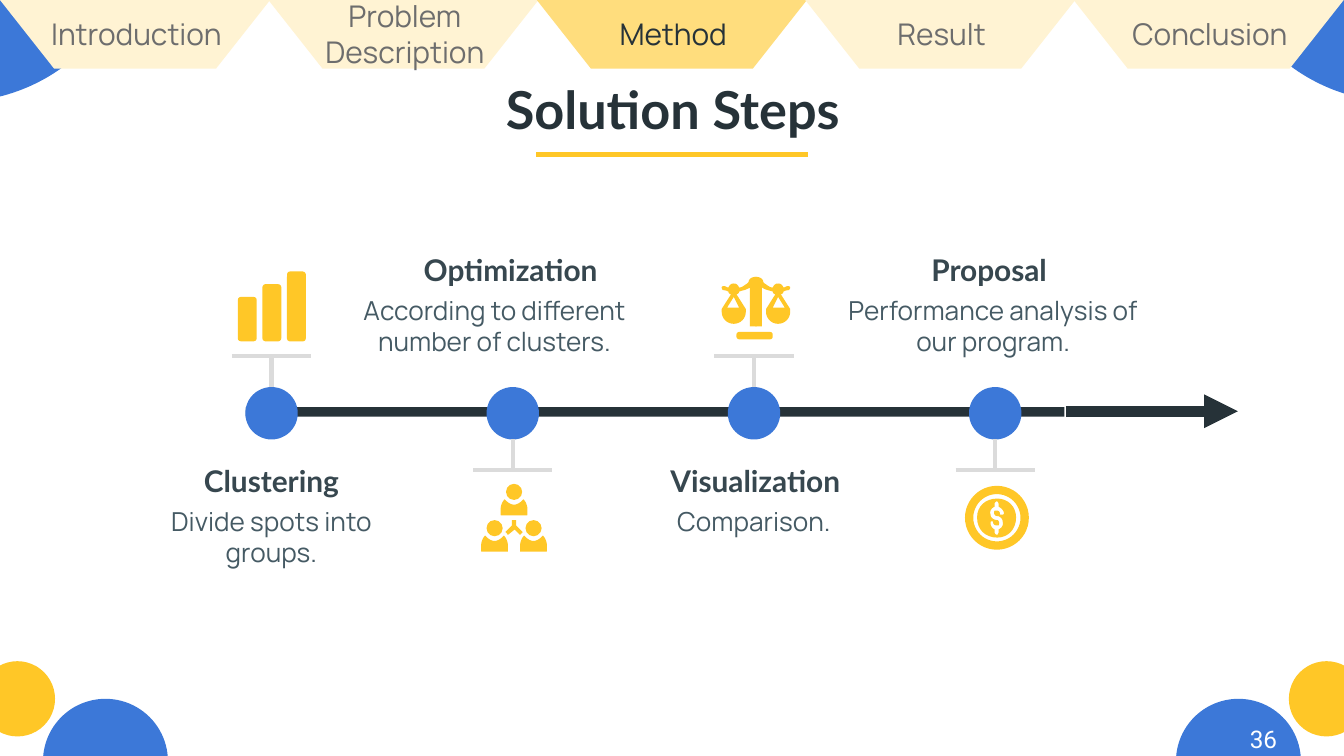
"""Build the "Solution Steps" timeline slide on a grid of 100 columns by 56.25 rows."""
import dataclasses

import pptx
import pptx.dml.color
import pptx.enum.shapes
import pptx.enum.text
import pptx.oxml
import pptx.oxml.ns
import pptx.util

SHAPE = pptx.enum.shapes.MSO_SHAPE
ALIGN = pptx.enum.text.PP_ALIGN
ANCHOR = pptx.enum.text.MSO_ANCHOR
COLUMNS, ROWS = 100, 56.25

PERSON = ("M 3 0 C 1 2 0 5 0 8 L 0 11 C 0 12 0 12 1 12 L 19 12 C 20 12 20 12 20 11 "
          "L 20 8 C 20 5 19 2 17 0 C 15 2 13 4 10 4 C 7 4 5 2 3 0")
BRANCHES = ("M 5 0 L 5 4 L 0 9 C 1 9 1 10 2 11 L 7 7 L 11 11 C 12 10 13 9 13 9 "
            "L 8 4 L 8 0")
HALF_BALANCE = ("M 26 0 C 22 0 20 2 20 4 L 19 5 C 16 7 15 8 13 8 C 12 6 11 5 9 5 "
                "C 7 5 6 6 5 8 C 4 8 3 7 2 7 C 1 7 0 7 0 8 C 0 8 0 9 1 10 "
                "C 2 10 3 10 5 11 C 5 12 6 13 7 13 L 0 24 L 0 26 C 0 31 4 35 9 35 "
                "C 14 35 18 31 18 26 L 18 24 L 11 13 C 12 13 13 12 13 11 "
                "C 16 10 18 10 21 8 L 21 37 L 26 37 M 9 15 L 13 23 L 4 23")
DOLLAR_DISC = ("M 15 0 C 6 0 0 6 0 14 C 0 23 6 29 15 29 C 23 29 29 23 29 14 "
               "C 29 6 23 0 15 0 M 15 2 C 15 2 16 3 16 4 L 16 6 C 18 7 20 9 20 11 "
               "C 20 12 19 12 18 12 C 17 12 17 12 17 11 C 17 10 16 9 15 9 "
               "C 14 9 13 9 13 9 C 12 11 13 13 15 13 C 17 13 19 15 19 17 "
               "C 20 20 18 22 16 23 L 16 25 C 16 26 15 27 15 27 C 14 27 13 26 13 25 "
               "L 13 23 C 11 22 10 20 10 18 C 10 17 10 17 11 17 C 12 17 12 17 12 18 "
               "C 12 19 13 20 15 20 C 15 20 16 20 16 20 C 17 18 16 16 15 16 "
               "C 12 16 10 14 10 12 C 9 9 11 7 13 6 L 13 4 C 13 3 14 2 15 2")


@dataclasses.dataclass(frozen=True)
class Theme:
    blue: str = "3C78D8"
    yellow: str = "FFC727"
    tab: str = "FFF3D3"
    active_tab: str = "FFDD7D"
    ink: str = "263238"
    heading: str = "37474F"
    body: str = "455A64"
    muted: str = "6D6D6D"
    stem: str = "DBDBDB"
    white: str = "FFFFFF"
    title_size: int = 28
    heading_size: int = 16
    body_size: int = 14
    number_size: int = 13


def rgb(value):
    return pptx.dml.color.RGBColor.from_string(value)


def write(frame, text, *, font, size, color, bold=False, align=ALIGN.CENTER,
          anchor=ANCHOR.MIDDLE, inset=1):
    frame.word_wrap = True
    frame.auto_size = pptx.enum.text.MSO_AUTO_SIZE.NONE
    frame.vertical_anchor = anchor
    frame.margin_left = frame.margin_right = pptx.util.Inches(0.1)
    frame.margin_top = frame.margin_bottom = pptx.util.Inches(0.1 * inset)
    frame.text = text
    for paragraph in frame.paragraphs:
        paragraph.alignment = align
        for run in paragraph.runs:
            run.font.name, run.font.bold = font, bold
            run.font.size = pptx.util.Pt(size)
            run.font.color.rgb = rgb(color)


def contours(outline):
    """Return the point lists of an outline, with its curves cut into short segments."""
    loops = []
    tokens = iter(outline.split())
    for command in tokens:
        pairs = [(float(next(tokens)), float(next(tokens)))
                 for _ in range(3 if command == "C" else 1)]
        if command == "M":
            loops.append(pairs)
        elif command == "L":
            loops[-1] += pairs
        else:
            controls = [loops[-1][-1], *pairs]
            for step in range(1, 9):
                t = step / 8
                weights = ((1 - t) ** 3, 3 * t * (1 - t) ** 2, 3 * t * t * (1 - t), t ** 3)
                loops[-1].append(tuple(sum(w * c[axis] for w, c in zip(weights, controls))
                                       for axis in (0, 1)))
    return loops


class Deck:
    def __init__(self, theme):
        self.theme = theme
        self.presentation = pptx.Presentation()
        self.presentation.slide_width = pptx.util.Inches(10)
        self.presentation.slide_height = pptx.util.Inches(5.625)
        self.slide = self.presentation.slides.add_slide(self.presentation.slide_layouts[5])

    def grid(self, *lengths):
        sizes = (self.presentation.slide_width / COLUMNS,
                 self.presentation.slide_height / ROWS)
        return [round(length * sizes[i % 2]) for i, length in enumerate(lengths)]

    def paint(self, shape, color):
        shape.shadow.inherit = False
        shape.fill.solid()
        shape.fill.fore_color.rgb = rgb(color)
        shape.line.fill.background()

    def title(self, text, box, **style):
        holder = self.slide.shapes.title
        holder.left, holder.top, holder.width, holder.height = self.grid(*box)
        write(holder.text_frame, text, **style)

    def text(self, text, box, **style):
        write(self.slide.shapes.add_textbox(*self.grid(*box)).text_frame, text, **style)

    def shape(self, kind, box, color, rounding=None):
        shape = self.slide.shapes.add_shape(kind, *self.grid(*box))
        if rounding is not None:
            shape.adjustments[0] = rounding
        self.paint(shape, color)

    def line(self, start, end, color, width=2.25, arrow=False):
        line = self.slide.shapes.add_connector(
            pptx.enum.shapes.MSO_CONNECTOR.STRAIGHT, *self.grid(*start, *end))
        line.line.color.rgb = rgb(color)
        line.line.width = pptx.util.Pt(width)
        if arrow:
            head = pptx.oxml.parse_xml(
                f'<a:tailEnd {pptx.oxml.ns.nsdecls("a")} type="triangle"/>')
            line.line._get_or_add_ln().append(head)
        line._element.spPr.append(
            pptx.oxml.parse_xml(f'<a:effectLst {pptx.oxml.ns.nsdecls("a")}/>'))

    def outline(self, outline, left, top, color, mirror=None):
        """Draw an outline given in tenths of a column, flipped within the mirror width."""
        loops = [[self.grid(left + (x if mirror is None else mirror - x) / 10, top + y / 10)
                  for x, y in loop] for loop in contours(outline)]
        builder = self.slide.shapes.build_freeform(*loops[0][0], scale=1.0)
        for loop in loops:
            if loop is not loops[0]:
                builder.move_to(*loop[0])
            builder.add_line_segments(loop[1:], close=True)
        self.paint(builder.convert_to_shape(), color)


def add_corners(deck):
    theme = deck.theme
    for left, top, size, color in (
            (90.5, -19.7, 27.3, theme.blue), (-17, -19.7, 27.3, theme.blue),
            (95.9, 49.2, 5.6, theme.yellow), (-1.5, 49.2, 5.6, theme.yellow),
            (87.5, 52, 9.3, theme.blue), (3.2, 52, 9.3, theme.blue)):
        deck.shape(SHAPE.OVAL, (left, top, size, size), color)


def add_tabs(deck, names, active):
    theme = deck.theme
    width, pitch = 20.1, 19.97
    for index, name in enumerate(names):
        left, current = index * pitch, name == active
        deck.shape(SHAPE.FLOWCHART_MANUAL_OPERATION, (left, 0, width, 5.1),
                   theme.active_tab if current else theme.tab)
        deck.text(name, (left + 1.4, -0.7, 17.5, 6.4), font="Manrope", inset=0.5,
                  size=theme.heading_size, color=theme.ink if current else theme.muted)


def add_timeline(deck, steps):
    theme = deck.theme
    deck.shape(SHAPE.RECTANGLE, (18.3, 30.3, 60.9, 0.7), theme.ink)
    deck.line((79.3, 30.6), (92.1, 30.6), theme.ink, width=6, arrow=True)
    for index, (heading, heading_center, body, body_center, body_width) in enumerate(steps):
        center = 20.2 + 17.95 * index
        icon_above = index % 2 == 0
        dot_edge, bar = (28.8, 26.5) if icon_above else (32.7, 35)
        text_top = 33.5 if icon_above else 17.8
        deck.shape(SHAPE.OVAL, (center - 1.95, 28.8, 3.9, 3.9), theme.blue)
        deck.line((center - 2.95, bar), (center + 2.95, bar), theme.stem)
        deck.line((center, dot_edge), (center, bar), theme.stem)
        deck.text(heading, (heading_center - 10.9, text_top, 21.8, 4.5), font="Lato",
                  size=theme.heading_size, color=theme.heading, bold=True)
        deck.text(body, (body_center - body_width / 2, text_top + 3.1, body_width, 7),
                  font="Manrope", size=theme.body_size, color=theme.body, anchor=ANCHOR.TOP)


def add_icons(deck):
    color = deck.theme.yellow
    for index, height in enumerate((3.3, 4.25, 5.2)):
        deck.shape(SHAPE.ROUNDED_RECTANGLE, (17.7 + 1.83 * index, 25.4 - height, 1.4, height),
                   color, rounding=0.16)
    for left, top in ((35.8, 38.7), (37.25, 36), (38.7, 38.7)):
        deck.shape(SHAPE.OVAL, (left + 0.4, top, 1.2, 1.2), color)
        deck.outline(PERSON, left, top + 1.15, color)
    deck.outline(BRANCHES, 37.6, 38.7, color)
    for mirror in (None, 51):
        deck.outline(HALF_BALANCE, 53.7, 20.6, color, mirror)
    deck.shape(SHAPE.ROUNDED_RECTANGLE, (54.8, 24.7, 2.7, 0.55), color, rounding=0.35)
    deck.shape(SHAPE.DONUT, (71.8, 36.15, 4.75, 4.75), color, rounding=0.13)
    deck.outline(DOLLAR_DISC, 72.7, 37.1, color)


def main():
    theme = Theme()
    deck = Deck(theme)
    add_corners(deck)
    deck.title("Solution Steps", (7.9, 4.9, 84.3, 6.3), font="Lato",
               size=theme.title_size, color=theme.ink, bold=True)
    deck.line((39.9, 11.5), (60.1, 11.5), theme.yellow)
    add_timeline(deck, (
        ("Clustering", 20.2, "Divide spots into groups.", 20.2, 18.2),
        ("Optimization", 38, "According to different number of clusters.", 36.8, 25),
        ("Visualization", 56.2, "Comparison.", 56.1, 18.2),
        ("Proposal", 73.6, "Performance analysis of our program.", 73.9, 24)))
    add_icons(deck)
    add_tabs(deck, ("Introduction", "Problem\nDescription", "Method", "Result", "Conclusion"),
             active="Method")
    deck.text("36", (90, 52.8, 6, 4.3), font="Roboto", size=theme.number_size,
              color=theme.white, align=ALIGN.RIGHT)
    deck.presentation.save("out.pptx")


if __name__ == "__main__":
    main()
